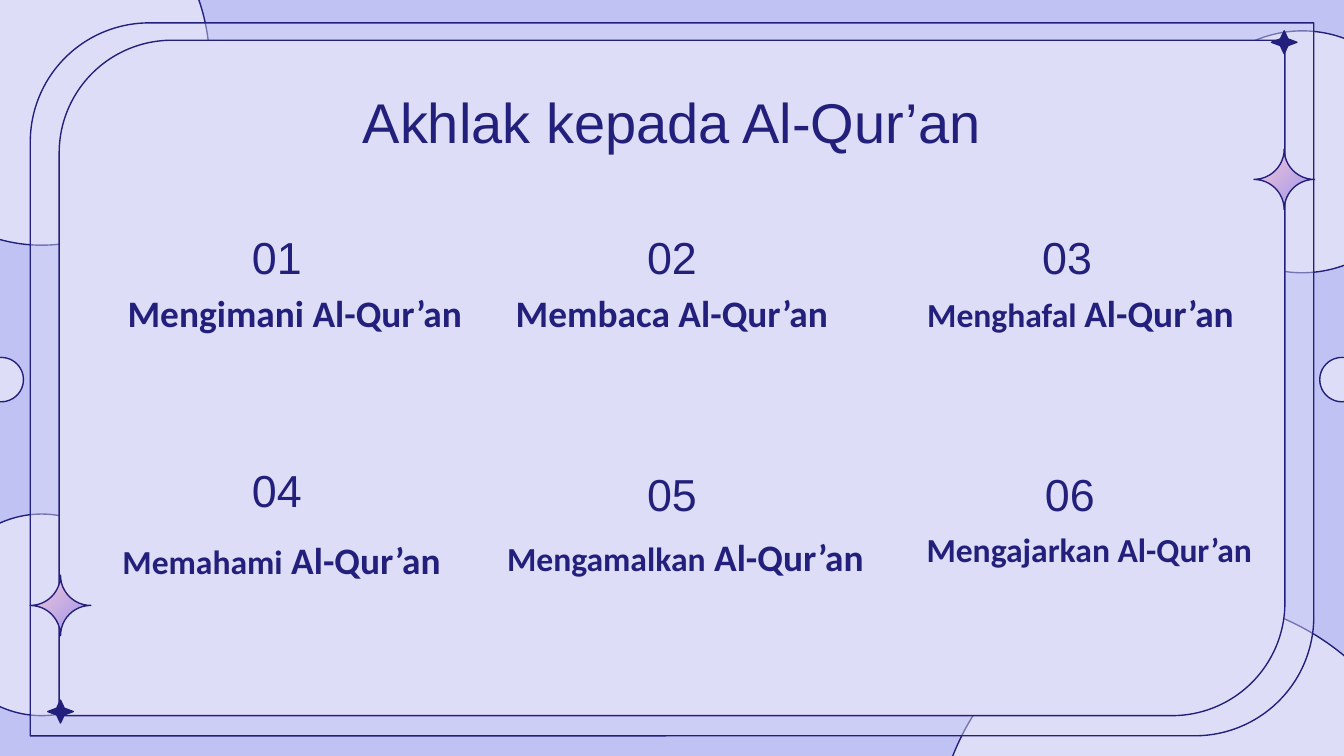
from pptx import Presentation
from pptx.dml.color import RGBColor as RGB
from pptx.enum.shapes import MSO_SHAPE as SHAPE
from pptx.enum.text import MSO_ANCHOR as ANCHOR, PP_ALIGN as ALIGN
from pptx.oxml.ns import qn
from pptx.util import Pt
from lxml.etree import SubElement

PX = 4572  # EMU per px, 200 px to the inch

THEME = {
    "background": RGB.from_string("C0C2F4"),
    "panel": RGB.from_string("DEDDF8"),
    "ink": RGB.from_string("231F7C"),
    "sparkle": [RGB.from_string("F8C7D5"), RGB.from_string("9995EF")],
    "heading_font": "Arial",
    "label_font": "Calibri",
    "title": Pt(30),
    "number": Pt(24),
    "large": Pt(20),
    "small": Pt(18),
    "line": Pt(0.75),
}

presentation = Presentation()
presentation.slide_width, presentation.slide_height = 2000 * PX, 1125 * PX
slide = presentation.slides.add_slide(presentation.slide_layouts[6])
slide.background.fill.solid()
slide.background.fill.fore_color.rgb = THEME["background"]


def add_outlined(kind, box, color, adjustment=None):
    shape = slide.shapes.add_shape(kind, *[value * PX for value in box])
    shape.shadow.inherit = False
    shape.fill.solid()
    shape.fill.fore_color.rgb = color
    shape.line.color.rgb = THEME["ink"]
    shape.line.width = THEME["line"]
    if adjustment is not None:
        shape.adjustments[0] = adjustment
    return shape


def add_text(box, runs, font, bold=False, anchor=ANCHOR.BOTTOM, inset=20, align=ALIGN.CENTER):
    frame = slide.shapes.add_textbox(*[value * PX for value in box]).text_frame
    frame.word_wrap = True
    frame.vertical_anchor = anchor
    frame.margin_left = frame.margin_right = 20 * PX
    frame.margin_top = frame.margin_bottom = inset * PX
    paragraph = frame.paragraphs[0]
    paragraph.alignment = align
    paragraph.font.name = font
    paragraph.font.bold = bold
    paragraph.font.color.rgb = THEME["ink"]
    for text, size in runs:
        run = paragraph.add_run()
        run.text = text
        run.font.size = THEME[size]


# Background circles: left, top, width, height
for circle in [
    (-188, -175, 500, 540),
    (1758, 46, 360, 360),
    (1392, 890, 742, 742),
    (-88, 765, 300, 300),
    (1964, 532, 66, 66),
    (-31, 532, 66, 66),
]:
    add_outlined(SHAPE.OVAL, circle, THEME["panel"])

# Translucent outer frame and solid inner panel
frame_shape = add_outlined(SHAPE.ROUND_2_DIAG_RECTANGLE, (45, 34, 1910, 1061), THEME["panel"], 0.167)
frame_color = frame_shape.fill._xPr.find(".//" + qn("a:srgbClr"))
SubElement(frame_color, qn("a:alpha")).set("val", "45000")
add_outlined(SHAPE.ROUND_2_DIAG_RECTANGLE, (88, 60, 1824, 1005), THEME["panel"], 0.167)

# Title
add_text((157, 110, 1686, 126), [("Akhlak kepada Al-Qur’an", "title")],
         THEME["heading_font"], anchor=ANCHOR.TOP)

# Numbers
for number, box in [
    ("01", (314, 312, 196, 130)),
    ("02", (899, 312, 202, 130)),
    ("03", (1487, 312, 202, 130)),
    ("04", (314, 658, 196, 130)),
    ("06", (1494, 665, 196, 130)),
]:
    add_text(box, [(number, "number")], THEME["heading_font"])
add_text((419, 685, 1162, 100), [("05", "number")], THEME["heading_font"],
         anchor=ANCHOR.TOP, inset=10)

# Labels
for box, runs in [
    ((156, 412, 566, 106), [("Mengimani Al-Qur’an", "large")]),
    ((744, 412, 512, 106), [("Membaca Al-Qur’an", "large")]),
    ((1328, 410, 560, 108), [("Menghafal ", "small"), ("Al-Qur’an", "large")]),
    ((98, 780, 642, 106), [("Memahami", "small"), (" Al-Qur’an", "large")]),
    ((713, 776, 614, 106), [("Mengamalkan", "small"), (" Al-Qur’an", "large")]),
]:
    add_text(box, runs, THEME["label_font"], bold=True)
add_text((1333, 778, 550, 148), [("Mengajarkan Al-Qur’an", "small")], THEME["label_font"],
         bold=True, anchor=ANCHOR.TOP, inset=10, align=ALIGN.RIGHT)

# Sparkles and small stars on two opposite corners
for sparkle_left, sparkle_top, star_left, star_top in [(45, 856, 71, 1042), (1866, 222, 1892, 46)]:
    sparkle = add_outlined(SHAPE.PLAQUE, (sparkle_left, sparkle_top, 90, 90), THEME["panel"], 0.5)
    sparkle.fill.gradient()
    sparkle.fill.gradient_angle = 315
    for stop, color in zip(sparkle.fill.gradient_stops, THEME["sparkle"]):
        stop.color.rgb = color
    add_outlined(SHAPE.STAR_4_POINT, (star_left, star_top, 38, 34), THEME["ink"], 0.209)

presentation.save("out.pptx")
